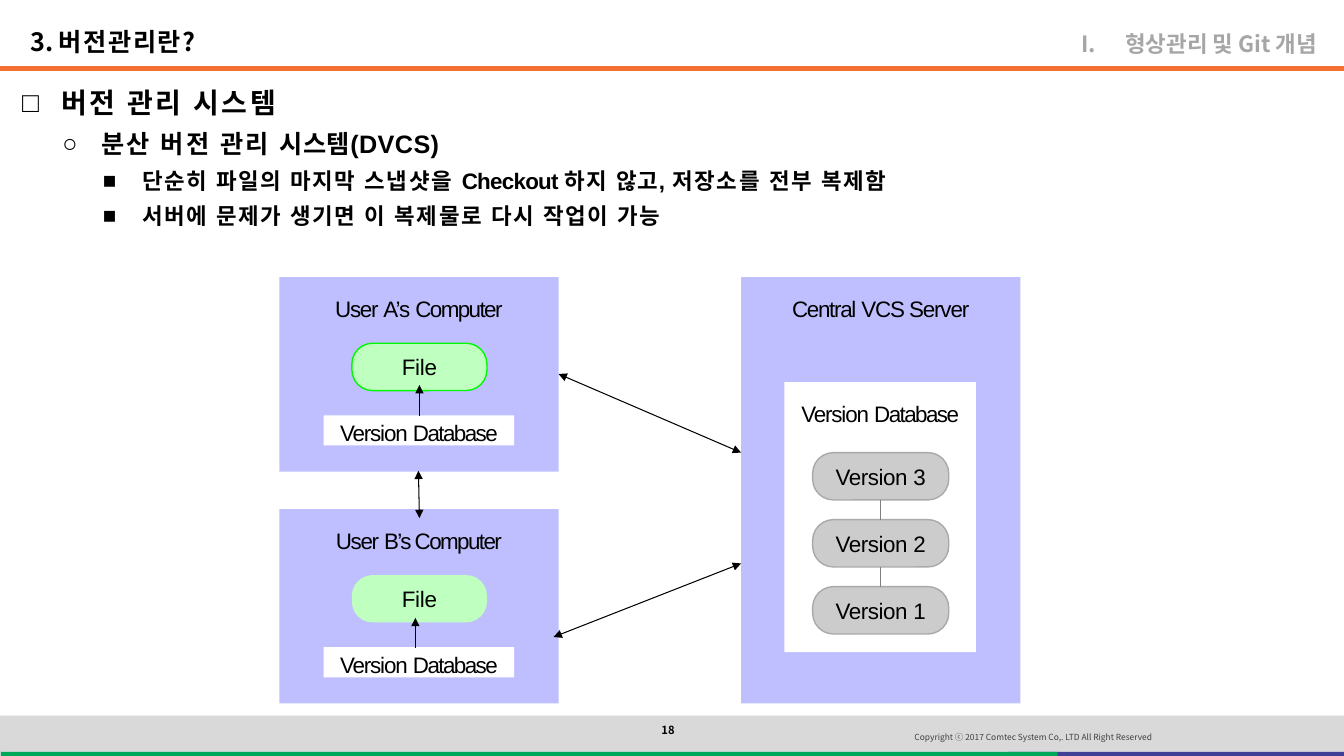
from lxml.etree import SubElement
from pptx import Presentation
from pptx.dml.color import RGBColor
from pptx.enum.shapes import MSO_CONNECTOR, MSO_SHAPE
from pptx.enum.text import MSO_ANCHOR, PP_ALIGN
from pptx.oxml.ns import qn
from pptx.util import Inches, Pt

THEME = {
    "latin": "Arial", "korean": "Noto Sans CJK KR", "title_font": "Noto Sans CJK JP",
    "black": "000000", "white": "FFFFFF", "muted": "A6A6A6", "small_print": "404040",
    "orange": "F37032", "band": "D9D9D9", "indigo": "3F4096", "green": "00A85A",
    "panel": "BFBFFF", "file": "BFFFBF", "file_edge": "00F900",
    "version": "CCCCCC", "version_edge": "A9A9A9", "link": "7F7F7F",
    "title": 18, "chapter": 16, "label": 16, "page": 8, "copyright": 6,
}

# A run is (text, letter spacing in points).
OUTLINE = [  # level, bullet, size, space before, runs
    (0, "□", 20, 0, [("버전 관리 시스템", 1.6)]),
    (1, "○", 18, 6.7, [("분산 버전 관리 ", 1.4), ("시스템(DVCS)", 0.3)]),
    (2, "■", 16, 5.8, [("단순히 파일의 마지막 스냅샷을 ", 1.2), ("Checkout ", -0.5),
                       ("하지 ", 1.2), ("않고, ", 0.5), ("저장소를 전부 복제함", 1.2)]),
    (2, "■", 16, 6.2, [("서버에 문제가 생기면 이 복제물로 다시 작업이 가능", 1.2)]),
]
DATABASE = [("Version ", -0.8), ("Database", -1.1)]
USERS = [  # panel top, title, file outline
    (2.75, [("User ", -0.9), ("A’s ", -0.8), ("Computer", -1.1)], "file_edge"),
    (5.05, [("User ", -0.9), ("B’s Computer", -1.1)], None),
]
SERVER = [("Central ", -0.9), ("VCS Server", -0.8)]
VERSIONS = ["3", "2", "1"]
ARROWS = [  # start, end, double-headed
    ((5.54, 3.71), (7.35, 4.49), True),
    ((5.49, 6.32), (7.35, 5.59), True),
    ((4.15, 4.67), (4.16, 5.14), True),
    ((4.16, 3.82), (4.16, 4.13), False),
    ((4.12, 6.13), (4.12, 6.43), False),
]

PANEL_WIDTH, USER_HEIGHT, SERVER_HEIGHT = 2.77, 1.93, 4.23
USER_LEFT, SERVER_LEFT = 2.77, 7.35
PILL_HEIGHT, VERSION_TOP, VERSION_STEP = 0.47, 4.49, 0.665

deck = Presentation()
deck.slide_width, deck.slide_height = Inches(13.33), Inches(7.5)
page = deck.slides.add_slide(deck.slide_layouts[6])


def color(name):
    return RGBColor.from_string(THEME[name])


def set_frame(shape, insets, anchor=MSO_ANCHOR.TOP):
    frame = shape.text_frame
    frame.word_wrap = True
    frame.vertical_anchor = anchor
    (frame.margin_left, frame.margin_top,
     frame.margin_right, frame.margin_bottom) = [Inches(inset) for inset in insets]
    return frame


def add_span(para, text, size, font="latin", ink="black", bold=False, spacing=0):
    span = para.add_run()
    span.text = text
    span.font.size = Pt(size)
    span.font.bold = bold
    span.font.name = THEME[font]
    span.font.color.rgb = color(ink)
    properties = span.font._element
    SubElement(properties, qn("a:ea")).set("typeface", THEME[font])
    if spacing:
        properties.set("spc", str(round(spacing * 100)))


def add_text(area, insets, align=PP_ALIGN.LEFT, anchor=MSO_ANCHOR.TOP):
    """Add a text box and return its first paragraph."""
    box = page.shapes.add_textbox(*[Inches(length) for length in area])
    para = set_frame(box, insets, anchor).paragraphs[0]
    para.alignment = align
    return para


def set_bullet(para, indent, hanging, tag, **attributes):
    properties = para._p.get_or_add_pPr()
    properties.set("marL", str(Inches(indent)))
    properties.set("indent", str(-Inches(hanging)))
    SubElement(properties, qn("a:buFont")).set("typeface", THEME["latin"])
    bullet = SubElement(properties, qn(tag))
    for name, value in attributes.items():
        bullet.set(name, value)


def add_block(area, fill, runs=(), top=None, edge=None, rounded=False):
    """Add a filled block; its label is centred, or starts at the given inset."""
    kind = MSO_SHAPE.ROUNDED_RECTANGLE if rounded else MSO_SHAPE.RECTANGLE
    block = page.shapes.add_shape(kind, *[Inches(length) for length in area])
    block.shadow.inherit = False
    block.fill.solid()
    block.fill.fore_color.rgb = color(fill)
    if rounded:
        block.adjustments[0] = 0.44
    if edge:
        block.line.color.rgb = color(edge)
        block.line.width = Pt(1)
    else:
        block.line.fill.background()
    if runs:
        anchor = MSO_ANCHOR.MIDDLE if top is None else MSO_ANCHOR.TOP
        para = set_frame(block, (0, top or 0, 0, 0), anchor).paragraphs[0]
        para.alignment = PP_ALIGN.CENTER
        for text, spacing in runs:
            add_span(para, text, THEME["label"], spacing=spacing)


def add_line(start, end, ink="black", width=0.75, heads=()):
    line = page.shapes.add_connector(
        MSO_CONNECTOR.STRAIGHT, *[Inches(value) for value in (*start, *end)])
    line.line.color.rgb = color(ink)
    line.line.width = Pt(width)
    for head in heads:
        SubElement(line.line._get_or_add_ln(), qn(head)).set("type", "triangle")
    SubElement(line._element.spPr, qn("a:effectLst"))


def add_header_and_footer():
    add_line((0, 0.68), (13.33, 0.68), "orange", 3)
    add_block((0, 7.1, 13.33, 0.4), "band")
    add_block((10, 7.46, 3.33, 0.04), "indigo")
    add_block((0.01, 7.46, 10.48, 0.04), "green")
    para = add_text((8.98, 7.22, 3.58, 0.19), (0.09, 0.04, 0.09, 0.04))
    add_span(para, "Copyright ⓒ 2017 Comtec System Co,. LTD All Right Reserved",
             THEME["copyright"], "korean", "small_print")
    para = add_text((6.08, 7.14, 1.19, 0.27), (0, 0.05, 0.1, 0.05), PP_ALIGN.CENTER)
    para.line_spacing = 0.9
    add_span(para, "18", THEME["page"], "korean", bold=True)
    para = add_text((7.72, 0.19, 5.34, 0.42), (0.1, 0.05, 0, 0.05),
                    PP_ALIGN.RIGHT, MSO_ANCHOR.BOTTOM)
    set_bullet(para, 0.44, 0.44, "a:buAutoNum", type="romanUcPeriod")
    add_span(para, "형상관리 및 Git 개념", THEME["chapter"], "korean", "muted", True)
    para = add_text((0.3, 0.19, 7.36, 0.42), (0, 0.05, 0.1, 0.05),
                    anchor=MSO_ANCHOR.BOTTOM)
    add_span(para, "3. ", THEME["title"], "korean", bold=True)
    add_span(para, "버전관리란?", THEME["title"], "title_font", bold=True, spacing=1.1)


def add_outline():
    box = page.shapes.add_textbox(Inches(0.21), Inches(0.73), Inches(10.94), Inches(1.56))
    frame = set_frame(box, (0, 0.12, 0, 0))
    for index, (level, bullet, size, before, runs) in enumerate(OUTLINE):
        para = frame.add_paragraph() if index else frame.paragraphs[0]
        para.level = level
        set_bullet(para, 0.4 * (level + 1), 0.39, "a:buChar", char=bullet)
        para.space_before = Pt(before)
        for text, spacing in runs:
            add_span(para, text, size, bold=True, spacing=spacing)


def add_diagram():
    for top, title, edge in USERS:
        add_block((USER_LEFT, top, PANEL_WIDTH, USER_HEIGHT), "panel", title, top=0.18)
        add_block((3.49, top + 0.655, 1.34, PILL_HEIGHT), "file", [("File", -0.2)],
                  edge=edge, rounded=True)
        add_block((3.21, top + 1.37, 1.89, 0.3), "white", DATABASE, top=0.04)
    add_block((SERVER_LEFT, 2.75, PANEL_WIDTH, SERVER_HEIGHT), "panel", SERVER, top=0.18)
    add_block((7.78, 3.79, 1.9, 2.68), "white", DATABASE, top=0.18)
    for index, number in enumerate(VERSIONS):
        top = VERSION_TOP + index * VERSION_STEP
        add_block((8.06, top, 1.35, PILL_HEIGHT), "version",
                  [("Version ", -0.3), (number, 0)], edge="version_edge", rounded=True)
        if index:
            add_line((8.73, top - VERSION_STEP + PILL_HEIGHT), (8.73, top), "link", 1)
    for start, end, double in ARROWS:
        add_line(start, end, heads=("a:headEnd", "a:tailEnd") if double else ("a:headEnd",))


add_header_and_footer()
add_outline()
add_diagram()
deck.save("out.pptx")
